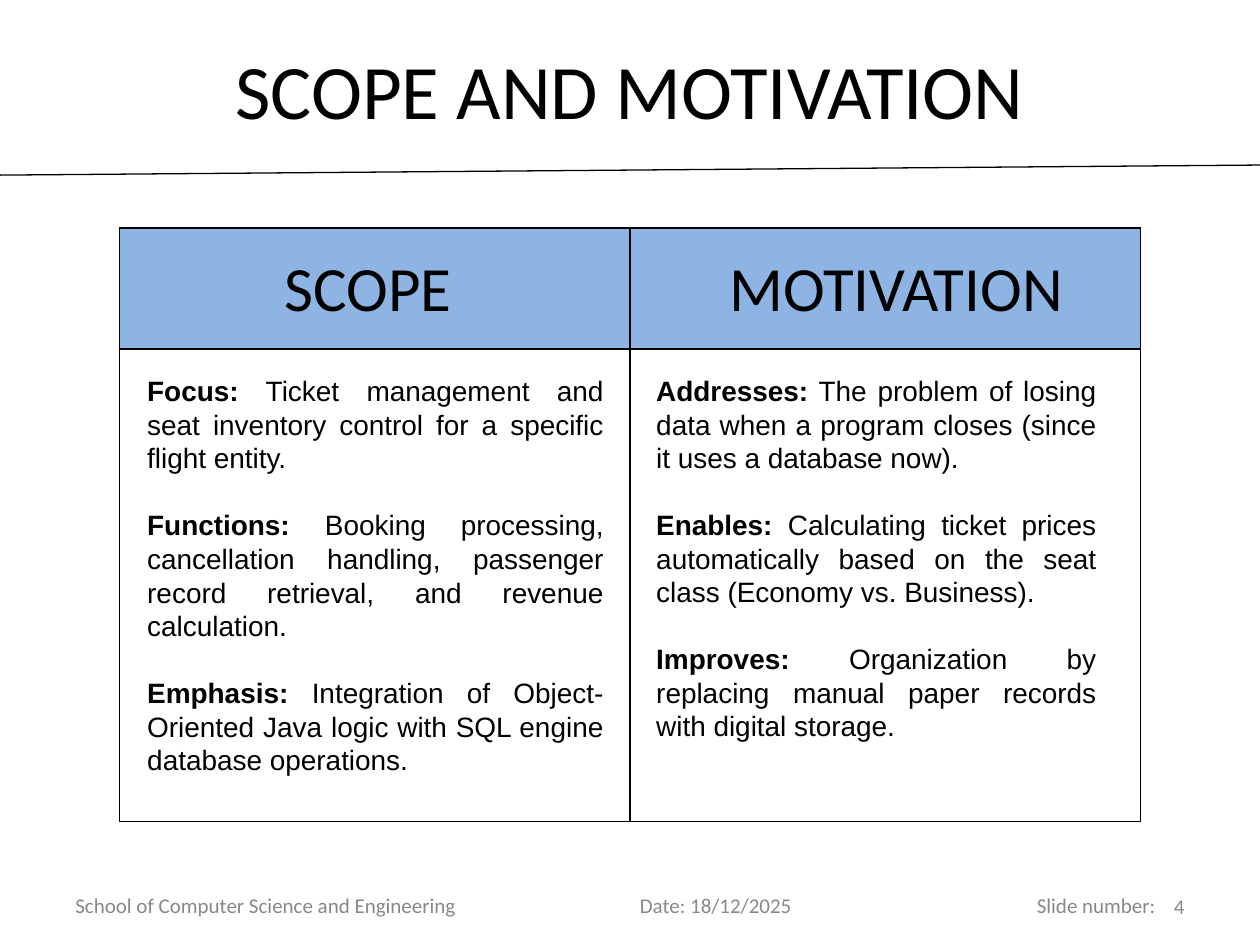
from lxml.etree import SubElement
from pptx import Presentation
from pptx.dml.color import RGBColor
from pptx.enum.shapes import MSO_CONNECTOR as Connector
from pptx.enum.text import MSO_ANCHOR as Anchor, PP_ALIGN as Align
from pptx.oxml.ns import qn
from pptx.util import Inches, Pt

# Content
TITLE = "SCOPE AND MOTIVATION"
COLUMNS = [
    {
        "heading": "SCOPE", "heading_box": (2.16, 1.92, 1.55, 0.71),
        "body_box": (1.07, 2.9, 3.82, 3.33),
        "points": [
            ("Focus:", " Ticket management and seat inventory control for a specific flight entity."),
            ("Functions:", " Booking processing, cancellation handling, passenger record retrieval, and revenue calculation."),
            ("Emphasis:", " Integration of Object-Oriented Java logic with SQL engine database operations."),
        ],
    },
    {
        "heading": "MOTIVATION", "heading_box": (5.69, 1.92, 2.95, 0.71),
        "body_box": (5.11, 2.9, 3.69, 3.06),
        "points": [
            ("Addresses:", " The problem of losing data when a program closes (since it uses a database now)."),
            ("Enables:", " Calculating ticket prices automatically based on the seat class (Economy vs. Business)."),
            ("Improves:", " Organization by replacing manual paper records with digital storage."),
        ],
    },
]
FOOTER = [
    ("School of Computer Science and Engineering", (0.5, 6.95, 3.6, 0.47), Align.LEFT),
    ("Date: 18/12/2025", (4.98, 6.95, 1.6, 0.47), Align.LEFT),
    ("Slide number:", (8.13, 6.95, 1.25, 0.47), Align.LEFT),
    ("4", (7.17, 7.04, 2.33, 0.31), Align.RIGHT),
]
TABLE_BOX = (0.95, 1.81, 8.1, 4.71)
ROW_HEIGHTS = (0.96, 3.75)

THEME = {
    "ink": "000000", "muted": "888888", "header": "8EB4E3",
    "heading_font": "Calibri", "body_font": "Arial",
    "title": 44, "heading": 36, "body": 16, "footer": 12,
    "body_line": 19.17, "border": 1, "rule": 0.75,
}


def color(name):
    return RGBColor.from_string(THEME[name])


def add_box(page, area, wrap=True, anchor=Anchor.MIDDLE):
    frame = page.shapes.add_textbox(*map(Inches, area)).text_frame
    frame.word_wrap = wrap
    frame.vertical_anchor = anchor
    return frame


def add_run(para, text, size, font="heading_font", ink="ink", bold=False):
    span = para.add_run()
    span.text = text
    span.font.name = THEME[font]
    span.font.size = Pt(THEME[size])
    span.font.bold = bold
    span.font.color.rgb = color(ink)


def add_line(page, text, area, size, align, **style):
    ink = style.pop("ink", "ink")
    para = add_box(page, area, **style).paragraphs[0]
    para.alignment = align
    add_run(para, text, size, ink=ink)


def add_points(page, area, points):
    frame = add_box(page, area)
    for index, (label, text) in enumerate(points):
        para = frame.add_paragraph() if index else frame.paragraphs[0]
        para.alignment = Align.JUSTIFY
        para.line_spacing = Pt(THEME["body_line"])
        para.space_before = Pt(THEME["body_line"] if index else 0)
        add_run(para, label, "body", "body_font", bold=True)
        add_run(para, text, "body", "body_font")


def set_borders(cell):
    properties = cell._tc.get_or_add_tcPr()
    for position, side in enumerate(("a:lnL", "a:lnR", "a:lnT", "a:lnB")):
        edge = properties.makeelement(qn(side), {"w": str(Pt(THEME["border"]))})
        fill = SubElement(edge, qn("a:solidFill"))
        SubElement(fill, qn("a:srgbClr"), val=THEME["ink"])
        properties.insert(position, edge)


def add_grid(page):
    table = page.shapes.add_table(
        len(ROW_HEIGHTS), len(COLUMNS), *map(Inches, TABLE_BOX)).table
    table.horz_banding = False
    for column in table.columns:
        column.width = Inches(TABLE_BOX[2] / len(COLUMNS))
    for index, height in enumerate(ROW_HEIGHTS):
        table.rows[index].height = Inches(height)
        for cell in table.rows[index].cells:
            if index == 0:
                cell.fill.solid()
                cell.fill.fore_color.rgb = color("header")
            else:
                cell.fill.background()
            set_borders(cell)


def main():
    deck = Presentation()
    deck.slide_width, deck.slide_height = Inches(10), Inches(7.5)
    page = deck.slides.add_slide(deck.slide_layouts[6])

    # Title and rule
    add_line(page, TITLE, (0.5, 0.08, 9, 1.25), "title", Align.CENTER)
    rule = page.shapes.add_connector(
        Connector.STRAIGHT, *map(Inches, (0, 1.39, 10, 1.31)))
    rule.line.color.rgb = color("ink")
    rule.line.width = Pt(THEME["rule"])
    SubElement(rule._element.spPr, qn("a:effectLst"))

    # Two-column grid with its text
    add_grid(page)
    for column in COLUMNS:
        add_line(page, column["heading"], column["heading_box"], "heading",
                 Align.LEFT, wrap=False, anchor=Anchor.TOP)
        add_points(page, column["body_box"], column["points"])

    # Footer
    for text, area, align in FOOTER:
        add_line(page, text, area, "footer", align, ink="muted")

    deck.save("out.pptx")


if __name__ == "__main__":
    main()
